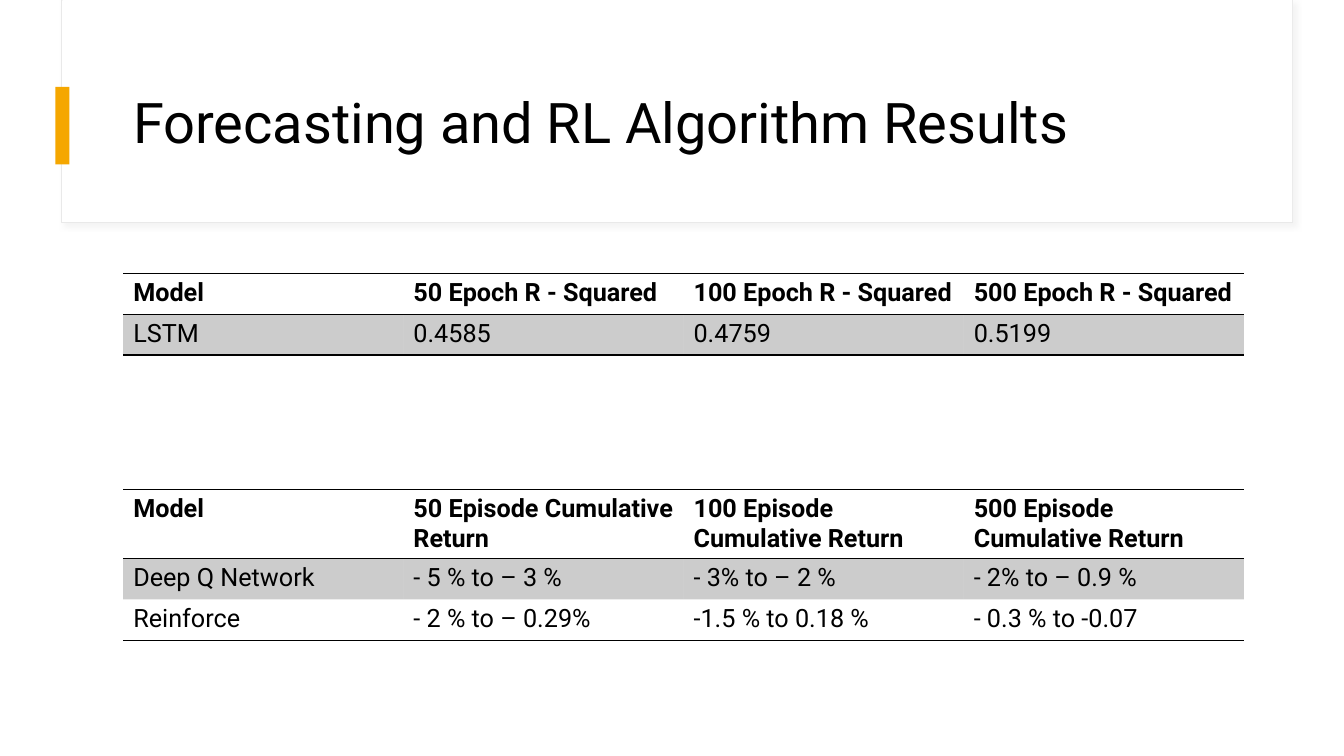
from lxml import etree
from pptx import Presentation
from pptx.dml.color import RGBColor
from pptx.enum.shapes import MSO_SHAPE
from pptx.enum.text import MSO_ANCHOR, MSO_AUTO_SIZE, PP_ALIGN
from pptx.oxml import parse_xml
from pptx.oxml.ns import qn
from pptx.util import Pt

RECTANGLE = MSO_SHAPE.RECTANGLE
MIDDLE = MSO_ANCHOR.MIDDLE
LEFT = PP_ALIGN.LEFT
NO_AUTOFIT = MSO_AUTO_SIZE.NONE
TITLE_ONLY = 5
NO_STYLE = "{2D5ABB26-0587-4C30-8999-92F81FD0307C}"
DRAWING = "http://schemas.openxmlformats.org/drawingml/2006/main"

TITLE_FONT = {"name": "Roboto", "size": Pt(40), "bold": False}
HEAD_FONT = {"name": "Roboto", "size": Pt(18), "bold": True}
BODY_FONT = {**HEAD_FONT, "bold": False}

FORECAST_ROWS = [
    ["Model", "50 Epoch R - Squared", "100 Epoch R - Squared", "500 Epoch R - Squared"],
    ["LSTM", "0.4585", "0.4759", "0.5199"],
]
RETURN_ROWS = [
    ["Model", "50 Episode Cumulative Return", "100 Episode Cumulative Return",
     "500 Episode Cumulative Return"],
    ["Deep Q Network", "- 5 % to – 3 %", "- 3% to – 2 %", "- 2% to – 0.9 %"],
    ["Reinforce", "- 2 % to – 0.29%", "-1.5 % to 0.18 %", "- 0.3 % to -0.07"],
]


def paint(color_format, value):
    """Give a colour format the colour of a hex string."""
    color_format.rgb = RGBColor.from_string(value)


def apply_format(target, values):
    """Set each attribute named in a dict of format values."""
    for name, value in values.items():
        setattr(target, name, value)


def write(frame, text, font):
    """Write one black, left-aligned paragraph and return it."""
    para = frame.paragraphs[0]
    para.alignment = LEFT
    span = para.add_run()
    span.text = text
    apply_format(span.font, font)
    paint(span.font.color, "000000")
    return para


def add_panel(page, left, top, width, height, fill, line=None):
    """Add a plain rectangle with an optional thin outline."""
    panel = page.shapes.add_shape(
        RECTANGLE, Pt(left), Pt(top), Pt(width), Pt(height))
    panel.shadow.inherit = False
    panel.fill.solid()
    paint(panel.fill.fore_color, fill)
    if line:
        panel.line.width = Pt(0.75)
        paint(panel.line.color, line)
    else:
        panel.line.fill.background()
    return panel


def add_soft_shadow(panel):
    """Add a faint shadow towards the lower right."""
    effects = panel._element.spPr.find(qn("a:effectLst"))
    effects.append(parse_xml(
        f'<a:outerShdw xmlns:a="{DRAWING}" blurRad="{Pt(4)}" dist="{Pt(3)}" '
        'dir="2700000" algn="tl" rotWithShape="0"><a:srgbClr val="D9D9D9">'
        '<a:alpha val="30000"/></a:srgbClr></a:outerShdw>'))


def add_header(page, left, width, height):
    """Build the title panel with its accent bar and title."""
    add_soft_shadow(add_panel(page, left, 0, width, height, "FFFFFF", "E9E9E9"))
    add_panel(page, left + 0.5, 0, width - 0.5, height - 0.5, "FFFFFF")
    add_panel(page, left - 4.5, 62, 10, 55.5, "F5A700")
    title = page.shapes.title
    apply_format(title, {"left": Pt(left + 44), "top": Pt(43),
                         "width": Pt(800.6), "height": Pt(93)})
    frame = title.text_frame
    apply_format(frame, {"vertical_anchor": MIDDLE, "word_wrap": True,
                         "auto_size": NO_AUTOFIT})
    para = write(frame, "Forecasting and RL Algorithm Results", TITLE_FONT)
    para.line_spacing = 0.9
    page.shapes._spTree.append(title._element)


def shade(cell):
    """Fill a cell with see-through black."""
    cell.fill.solid()
    paint(cell.fill.fore_color, "000000")
    color = cell._tc.tcPr.find(".//" + qn("a:srgbClr"))
    etree.SubElement(color, qn("a:alpha")).set("val", "20000")


def add_rules(cell, sides):
    """Draw black rules on the given sides of a cell."""
    for index, side in enumerate(sides):
        cell._tc.get_or_add_tcPr().insert(index, parse_xml(
            f'<a:ln{side} xmlns:a="{DRAWING}" w="{Pt(1)}"><a:solidFill>'
            f'<a:srgbClr val="000000"/></a:solidFill></a:ln{side}>'))


def add_results(page, left, top, width, rows):
    """Build a ruled table with a bold head and shaded odd rows."""
    row_height = Pt(29.2)
    column_count = len(rows[0])
    holder = page.shapes.add_table(
        len(rows), column_count, Pt(left), Pt(top), Pt(width), row_height * len(rows))
    table = holder.table
    table._tbl.tblPr.find(qn("a:tableStyleId")).text = NO_STYLE
    for column in table.columns:
        column.width = Pt(width / column_count)
    for row_index, texts in enumerate(rows):
        is_head = row_index == 0
        is_last = row_index == len(rows) - 1
        table.rows[row_index].height = row_height
        for column_index, text in enumerate(texts):
            cell = table.cell(row_index, column_index)
            write(cell.text_frame, text, HEAD_FONT if is_head else BODY_FONT)
            if row_index % 2:
                shade(cell)
            else:
                cell.fill.background()
            add_rules(cell, "TB" if is_head else "B" if is_last else "")


def main():
    """Build the results slide and save it."""
    deck = Presentation()
    apply_format(deck, {"slide_width": Pt(960), "slide_height": Pt(540)})
    page = deck.slides.add_slide(deck.slide_layouts[TITLE_ONLY])
    add_header(page, 44, 879, 159)
    add_results(page, 88, 195.2, 800.6, FORECAST_ROWS)
    add_results(page, 88, 349.4, 800.6, RETURN_ROWS)
    deck.save("out.pptx")


if __name__ == "__main__":
    main()
